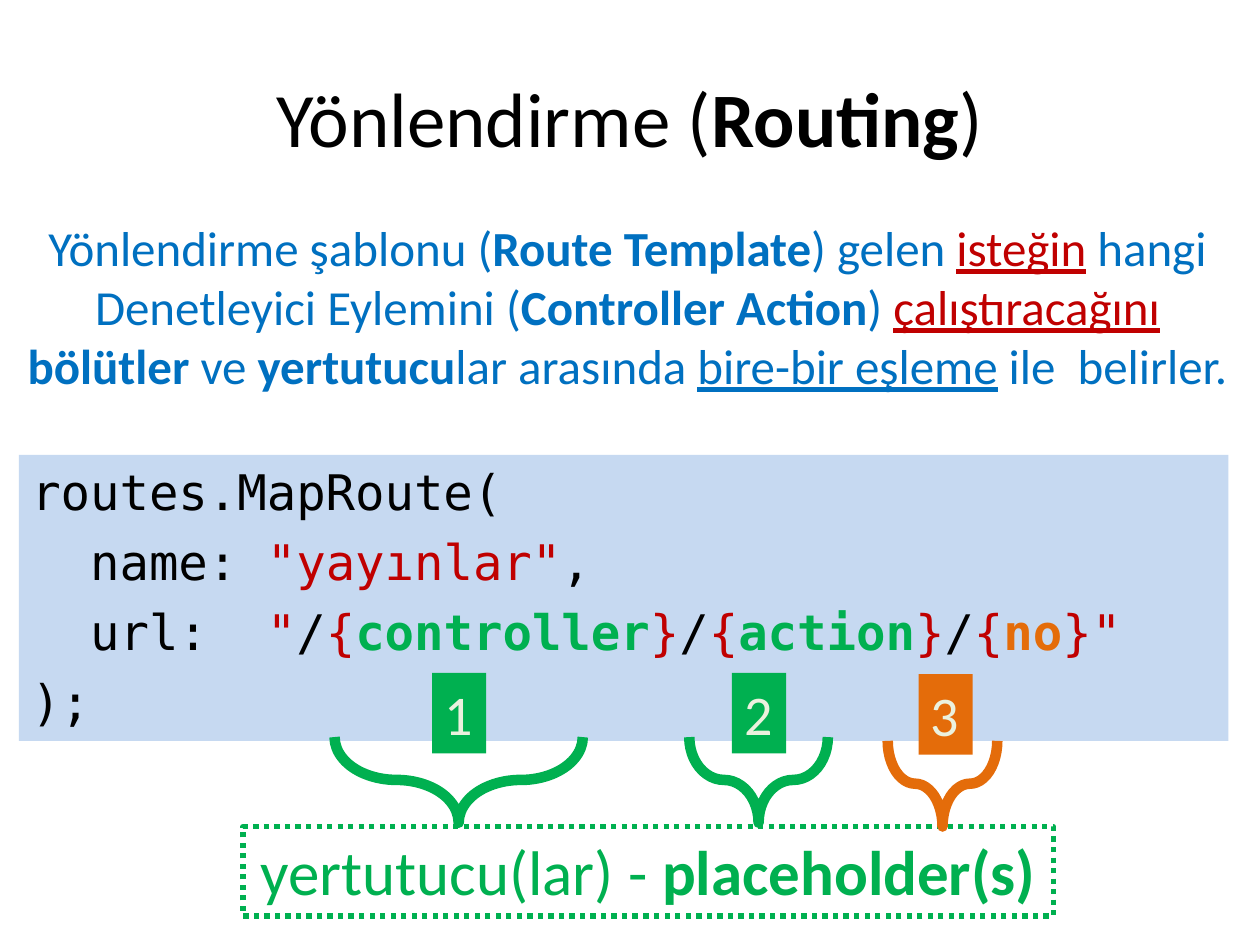
from dataclasses import dataclass, field
from typing import Any, NamedTuple

from pptx import Presentation
from pptx.dml.color import RGBColor
from pptx.enum.dml import MSO_LINE
from pptx.enum.shapes import MSO_SHAPE
from pptx.enum.text import MSO_ANCHOR, MSO_AUTO_SIZE, PP_ALIGN
from pptx.util import Inches, Pt

RECT, BRACE = MSO_SHAPE.RECTANGLE, MSO_SHAPE.RIGHT_BRACE
LEFT, CENTER = PP_ALIGN.LEFT, PP_ALIGN.CENTER
TOP, MIDDLE = MSO_ANCHOR.TOP, MSO_ANCHOR.MIDDLE
FIT, FIXED = MSO_AUTO_SIZE.SHAPE_TO_FIT_TEXT, MSO_AUTO_SIZE.NONE
DOTS = MSO_LINE.ROUND_DOT


@dataclass(frozen=True)
class Theme:
    """Fonts, colours and type sizes of the slide."""
    sans: str = "Calibri"
    mono: str = "DejaVu Sans Mono"
    black: str = "000000"
    blue: str = "0070C0"
    red: str = "C00000"
    green: str = "00B050"
    orange: str = "E46C0A"
    pale: str = "EBF1DE"
    code_fill: str = "C6D9F1"
    title: int = 44
    body: int = 28
    badge: int = 32
    label: int = 36


T = Theme()


class Run(NamedTuple):
    """A stretch of text; an empty colour takes that of its block."""
    text: str
    color: str = ""
    bold: bool = False
    underline: bool = False


class Box(NamedTuple):
    """A position and size in inches."""
    left: float
    top: float
    width: float
    height: float


@dataclass(frozen=True)
class TextStyle:
    """Formatting of a whole text block."""
    size: int
    color: str
    font: str = T.sans
    align: Any = LEFT
    space_before: float = 0
    frame: dict = field(default_factory=dict)


class Marker(NamedTuple):
    """A numbered badge and the brace below its code segment."""
    number: str
    badge_left: float
    badge_top: float
    center: float
    brace_top: float
    span: float
    color: str


def rgb(value: str) -> RGBColor:
    """Turn a hex string into a colour."""
    return RGBColor.from_string(value)


def set_all(target: Any, values: dict) -> None:
    """Set every attribute named in values."""
    for name, value in values.items():
        setattr(target, name, value)


def write(sp: Any, lines: list[list[Run]], style: TextStyle) -> None:
    """Fill a shape with formatted paragraphs."""
    tf = sp.text_frame
    set_all(tf, {"word_wrap": True, "auto_size": FIT,
                 "vertical_anchor": TOP} | style.frame)
    for i, line in enumerate(lines):
        p = tf.add_paragraph() if i else tf.paragraphs[0]
        set_all(p, {"alignment": style.align,
                    "space_before": Pt(style.space_before)})
        for part in line:
            r = p.add_run()
            r.text = part.text
            set_all(r.font, {"name": style.font, "size": Pt(style.size),
                             "bold": part.bold, "underline": part.underline})
            r.font.color.rgb = rgb(part.color or style.color)


def add_text(slide: Any, box: Box, lines: list[list[Run]],
             style: TextStyle) -> None:
    """Add a plain text box."""
    write(slide.shapes.add_textbox(*map(Inches, box)), lines, style)


def add_shape(slide: Any, kind: Any, box: Box, fill: str = "",
              line: str = "", weight: float = 0) -> Any:
    """Add a preset shape with optional fill and outline."""
    sp = slide.shapes.add_shape(kind, *map(Inches, box))
    sp.shadow.inherit = False
    if fill:
        sp.fill.solid()
        sp.fill.fore_color.rgb = rgb(fill)
    else:
        sp.fill.background()
    if line:
        sp.line.color.rgb = rgb(line)
        sp.line.width = Pt(weight)
    else:
        sp.line.fill.background()
    return sp


def add_badge(slide: Any, m: Marker) -> None:
    """Add the numbered badge of a marker."""
    sp = add_shape(slide, RECT, Box(m.badge_left, m.badge_top, 0.43, 0.64), m.color)
    write(sp, [[Run(m.number)]],
          TextStyle(T.badge, T.pale, frame={"word_wrap": False}))


def add_brace(slide: Any, m: Marker) -> None:
    """Add a brace turned to point down, centred on its segment."""
    depth = 0.68
    box = Box(m.center - depth / 2, m.brace_top - (m.span - depth) / 2, depth, m.span)
    sp = add_shape(slide, BRACE, box, line=m.color, weight=6)
    sp.rotation = 90
    sp.adjustments[0], sp.adjustments[1] = 0.98, 0.5


def segment(name: str, color: str) -> list[Run]:
    """Return a bold URL placeholder in red braces."""
    return [Run("{", T.red), Run(name, color, True), Run("}", T.red)]


TITLE = [[Run("Yönlendirme ("), Run("Routing", bold=True), Run(")")]]
CODE = [
    [Run("routes.MapRoute(")],
    [Run("  name: "), Run('"yayınlar"', T.red), Run(",")],
    [Run("  url:  "), Run('"', T.red),
     Run("/"), *segment("controller", T.green),
     Run("/"), *segment("action", T.green),
     Run("/"), *segment("no", T.orange), Run('"', T.red)],
    [Run(");")],
]
LABEL = [[Run("yertutucu(lar) - "), Run("placeholder(s)", bold=True)]]
SUMMARY = [[
    Run("Yönlendirme şablonu ("), Run("Route Template", bold=True),
    Run(") gelen "), Run("isteğin", T.red, underline=True),
    Run(" hangi Denetleyici Eylemini ("), Run("Controller Action", bold=True),
    Run(") "), Run("çalıştıracağını", T.red, underline=True), Run(" "),
    Run("bölütler", bold=True), Run(" ve "), Run("yertutucu", bold=True),
    Run("lar arasında "), Run("bire-bir eşleme", underline=True),
    Run(" ile  belirler."),
]]
MARKERS = [
    Marker("1", 3.43, 5.34, 3.64, 5.85, 1.97, T.green),
    Marker("2", 5.81, 5.34, 6.02, 5.85, 1.1, T.green),
    Marker("3", 7.29, 5.35, 7.48, 5.88, 0.87, T.orange),
]

prs = Presentation()
prs.slide_width, prs.slide_height = Inches(10), Inches(7.5)
slide = prs.slides.add_slide(prs.slide_layouts[6])

add_text(slide, Box(0.5, 0.3, 9, 1.25), TITLE,
         TextStyle(T.title, T.black, align=CENTER,
                   frame={"auto_size": FIXED, "vertical_anchor": MIDDLE}))
code = add_shape(slide, RECT, Box(0.15, 3.61, 9.6, 2.27), T.code_fill)
write(code, CODE, TextStyle(T.body, T.black, T.mono, space_before=6.5))
for marker in MARKERS:
    add_badge(slide, marker)
label = add_shape(slide, RECT, Box(1.93, 6.56, 6.43, 0.71), line=T.green, weight=3)
label.line.dash_style = DOTS
write(label, LABEL, TextStyle(T.label, T.green, align=CENTER))
for marker in MARKERS:
    add_brace(slide, marker)
add_text(slide, Box(0, 1.68, 9.96, 1.51), SUMMARY,
         TextStyle(T.body, T.blue, align=CENTER))

prs.save("out.pptx")
